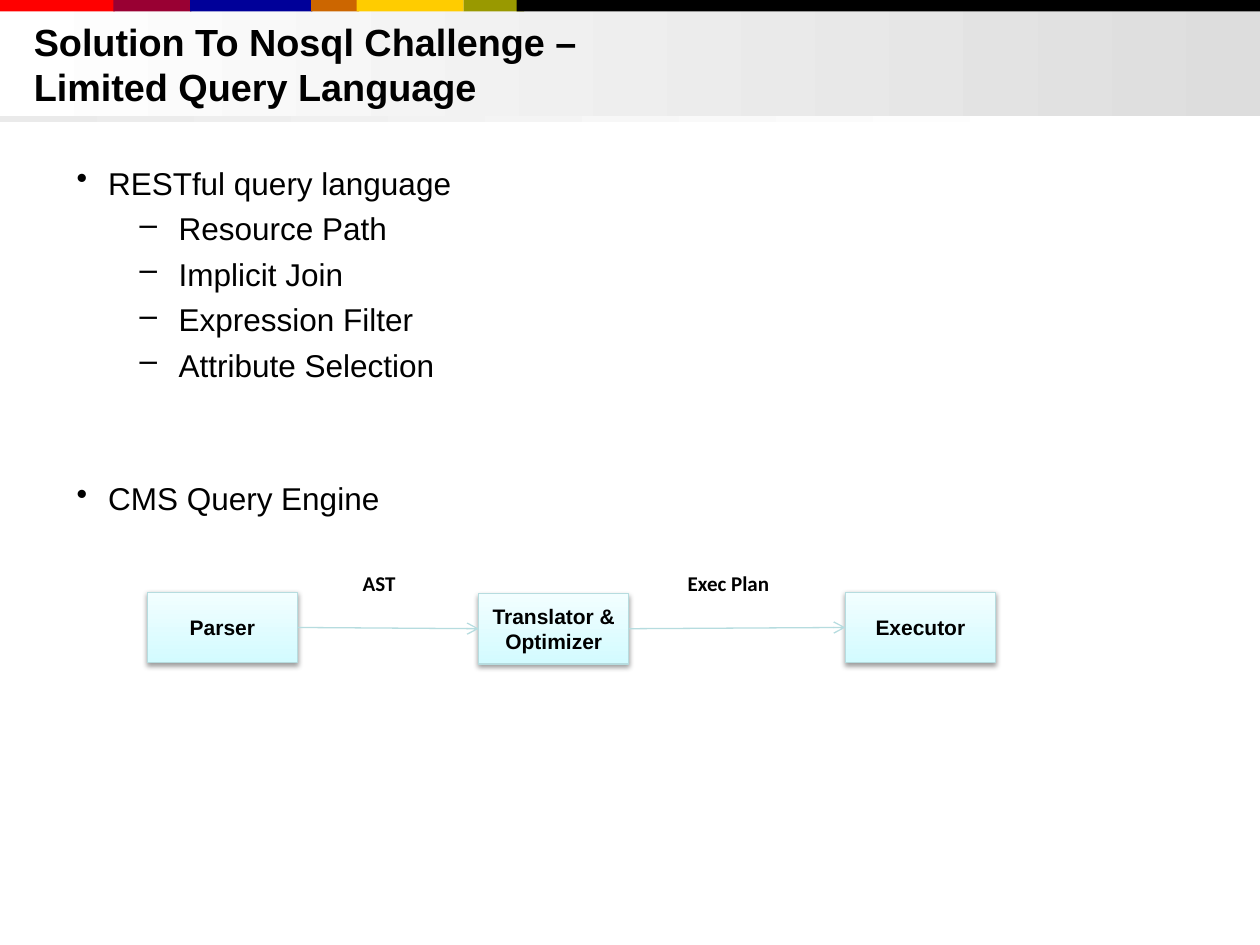
from lxml.etree import SubElement
from pptx import Presentation
from pptx.dml.color import RGBColor
from pptx.enum.shapes import MSO_CONNECTOR, MSO_SHAPE
from pptx.enum.text import MSO_ANCHOR, PP_ALIGN
from pptx.oxml import parse_xml
from pptx.oxml.ns import nsdecls, qn
from pptx.util import Inches, Pt

BLACK = RGBColor(0x00, 0x00, 0x00)
WHITE = RGBColor(0xFF, 0xFF, 0xFF)
HEADER_GRAY = RGBColor(0xDD, 0xDD, 0xDD)
RULE_GRAY = RGBColor(0xEA, 0xEA, 0xEA)
RED = RGBColor(0xFF, 0x00, 0x00)
CRIMSON = RGBColor(0x99, 0x00, 0x33)
NAVY = RGBColor(0x00, 0x00, 0x99)
ORANGE = RGBColor(0xCC, 0x66, 0x00)
YELLOW = RGBColor(0xFF, 0xCC, 0x00)
OLIVE = RGBColor(0x99, 0x99, 0x00)
BOX_BOTTOM = RGBColor(0xD3, 0xFB, 0xFF)
BOX_TOP = RGBColor(0xF2, 0xFE, 0xFF)
BOX_LINE = RGBColor(0xB6, 0xDC, 0xDF)

presentation = Presentation()
presentation.slide_width = Inches(10)
presentation.slide_height = Inches(7.5)
slide = presentation.slides.add_slide(presentation.slide_layouts[6])
column = presentation.slide_width / 100
row = presentation.slide_height / 75


def add_rectangle(left, top, width, height, colors, angle=0):
    shape = slide.shapes.add_shape(
        MSO_SHAPE.RECTANGLE, int(left * column), int(top * row), int(width * column), int(height * row)
    )
    shape.shadow.inherit = False
    shape.line.fill.background()
    if len(colors) == 1:
        shape.fill.solid()
        shape.fill.fore_color.rgb = colors[0]
    else:
        shape.fill.gradient()
        shape.fill.gradient_angle = angle
        for stop, color in zip(shape.fill.gradient_stops, colors):
            stop.color.rgb = color
    return shape


def write_text(paragraph, text, size, bold=True, name="Arial"):
    paragraph.text = text
    font_format = {"size": Pt(size), "bold": bold, "name": name}
    for attribute, value in font_format.items():
        setattr(paragraph.font, attribute, value)
    paragraph.font.color.rgb = BLACK


add_rectangle(0, 0, 100, 9.2, [WHITE, HEADER_GRAY])
stripes = [
    (0, 9.1, RED),
    (9, 6.2, CRIMSON),
    (15.1, 9.7, NAVY),
    (24.7, 3.8, ORANGE),
    (28.3, 8.5, YELLOW),
    (36.8, 4.8, OLIVE),
    (41, 59, BLACK),
]
for left, width, color in stripes:
    add_rectangle(left, 0, width, 0.9, [color])
add_rectangle(0, 9.2, 84.7, 0.5, [RULE_GRAY, WHITE])

title = slide.shapes.add_textbox(int(1.7 * column), int(row), int(96.7 * column), int(8.1 * row))
title.text_frame.word_wrap = True
title.text_frame.vertical_anchor = MSO_ANCHOR.MIDDLE
write_text(title.text_frame.paragraphs[0], "Solution To Nosql Challenge – \vLimited Query Language", 21.6)

body = slide.shapes.add_textbox(int(5.1 * column), int(12.5 * row), int(90 * column), int(52.3 * row))
body.text_frame.word_wrap = True
level_formats = [("•", 0.25, -0.25), ("–", 0.81, -0.31)]
bullets = [
    ("RESTful query language", 0, 4.4),
    ("Resource Path", 1, 4.4),
    ("Implicit Join", 1, 4.4),
    ("Expression Filter", 1, 4.4),
    ("Attribute Selection", 1, 4.4),
    ("CMS Query Engine", 0, 54.7),
]
for index, (text, level, space_before) in enumerate(bullets):
    paragraph = body.text_frame.add_paragraph() if index else body.text_frame.paragraphs[0]
    write_text(paragraph, text, 18, bold=False)
    paragraph.level = level
    paragraph.space_before = Pt(space_before)
    character, margin, indent = level_formats[level]
    properties = paragraph._p.get_or_add_pPr()
    properties.set("marL", str(Inches(margin)))
    properties.set("indent", str(Inches(indent)))
    bullet = parse_xml(f'<a:buChar {nsdecls("a")} char="{character}"/>')
    properties.find(qn("a:defRPr")).addprevious(bullet)

boxes = []
for text, left, top in [("Parser", 11.7, 47), ("Translator & Optimizer", 38, 47.1), ("Executor", 67.1, 47)]:
    box = add_rectangle(left, top, 11.9, 5.6, [BOX_BOTTOM, BOX_TOP], 90)
    box.line.color.rgb = BOX_LINE
    box.line.width = Pt(0.75)
    effects = box._element.spPr.find(qn("a:effectLst"))
    shadow = SubElement(effects, qn("a:outerShdw"), blurRad=str(Pt(3.1)), dist=str(Pt(1.6)), dir="5400000", rotWithShape="0")
    shadow_color = SubElement(shadow, qn("a:srgbClr"), val=str(BLACK))
    SubElement(shadow_color, qn("a:alpha"), val="38000")
    box.text_frame.word_wrap = True
    box.text_frame.vertical_anchor = MSO_ANCHOR.MIDDLE
    box.text_frame.paragraphs[0].alignment = PP_ALIGN.CENTER
    write_text(box.text_frame.paragraphs[0], text, 12)
    boxes.append(box)

for source, target in zip(boxes, boxes[1:]):
    arrow = slide.shapes.add_connector(MSO_CONNECTOR.STRAIGHT, 0, 0, 0, 0)
    arrow.begin_connect(source, 3)
    arrow.end_connect(target, 1)
    arrow.line.color.rgb = BOX_LINE
    arrow.line.width = Pt(0.75)
    SubElement(arrow.line._get_or_add_ln(), qn("a:tailEnd"), type="arrow")
    SubElement(arrow._element.spPr, qn("a:effectLst"))

for text, left, width in [("AST", 27.8, 6), ("Exec Plan", 53.6, 9.9)]:
    label = slide.shapes.add_textbox(int(left * column), int(44.8 * row), int(width * column), int(4.4 * row))
    label.text_frame.word_wrap = True
    write_text(label.text_frame.paragraphs[0], text, 12, name="Calibri")

presentation.save("out.pptx")
